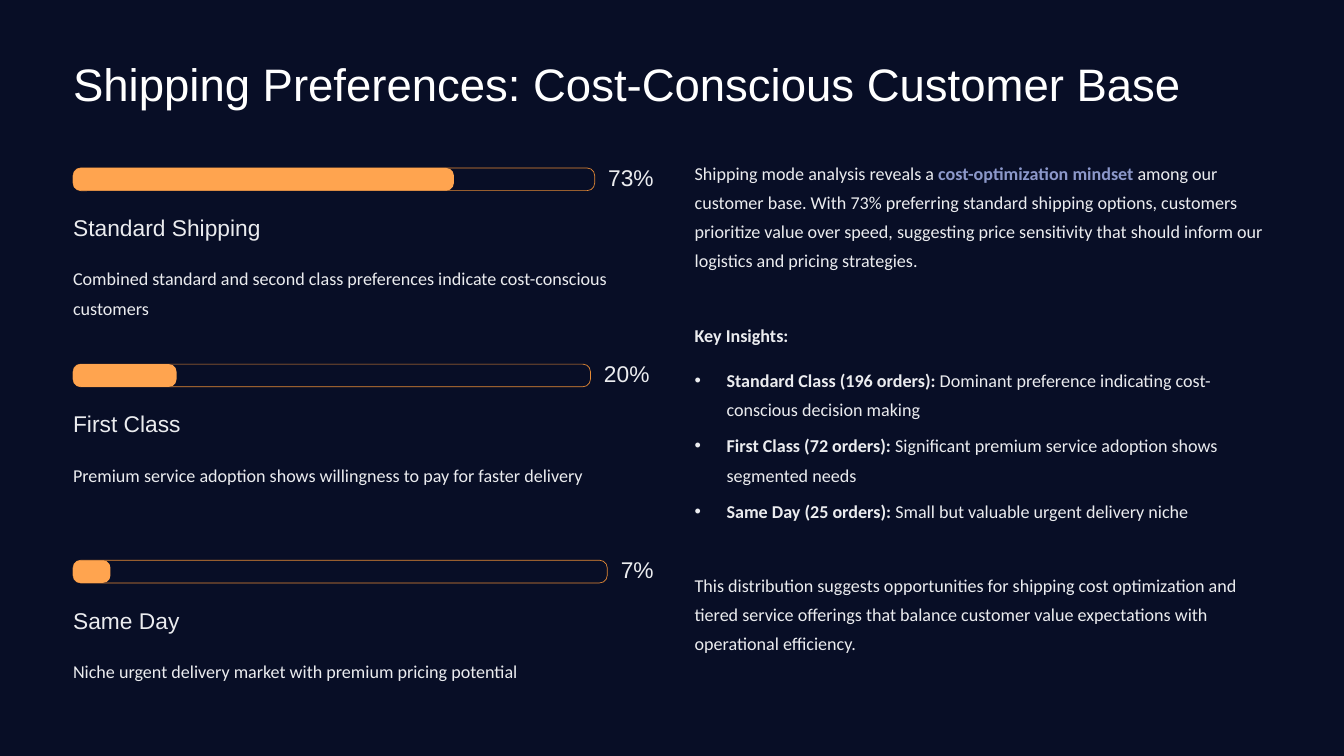
import pptx
import pptx.util
import pptx.dml.color
import pptx.enum.shapes
import pptx.enum.text
import pptx.oxml.ns
from lxml import etree

Inches = pptx.util.Inches
Pt = pptx.util.Pt

COLORS = {"night": "080E26", "white": "FFFFFF", "text": "EBECEF",
          "orange": "FFA44F", "outline": "E58A35", "accent": "8C98CA"}

# Each style: font values, line spacing in points, default colour
STYLES = {
    "title": ({"name": "Arial", "size": Pt(39)}, 48.5, "white"),
    "percent": ({"name": "Arial", "size": Pt(19.5)}, 19.5, "text"),
    "label": ({"name": "Arial", "size": Pt(19.5)}, 24, "text"),
    "body": ({"name": "Calibri", "size": Pt(15.5)}, 25, "text"),
}


def write(box, style, paragraphs, place):
    """Place a box and fill it; a paragraph is a list of (text, bold, colour)."""
    box.left, box.top, box.width, box.height = [Inches(value) for value in place]
    font_values, spacing, default_color = STYLES[style]
    frame = box.text_frame
    frame_values = {"margin_left": 0, "margin_top": 0, "margin_right": 0,
                    "margin_bottom": 0, "word_wrap": style in ("title", "body"),
                    "auto_size": pptx.enum.text.MSO_AUTO_SIZE.NONE,
                    "vertical_anchor": pptx.enum.text.MSO_ANCHOR.TOP}
    for name, value in frame_values.items():
        setattr(frame, name, value)
    for index, spans in enumerate(paragraphs):
        para = frame.add_paragraph() if index else frame.paragraphs[0]
        para_values = {"alignment": pptx.enum.text.PP_ALIGN.LEFT,
                       "line_spacing": Pt(spacing),
                       "space_before": Pt(6 if index else 0),
                       "space_after": Pt(0)}
        for name, value in para_values.items():
            setattr(para, name, value)
        for text, bold, color in spans:
            span = para.add_run()
            span.text = text
            for name, value in {**font_values, "bold": bold}.items():
                setattr(span.font, name, value)
            span.font.color.rgb = pptx.dml.color.RGBColor.from_string(
                COLORS[color or default_color])


def add_bar(left, top, width, fill, outline=None):
    bar = page.shapes.add_shape(
        pptx.enum.shapes.MSO_SHAPE.ROUNDED_RECTANGLE,
        Inches(left), Inches(top), Inches(width), Inches(0.27))
    bar.adjustments[0] = 0.336
    bar.shadow.inherit = False
    bar.fill.solid()
    bar.fill.fore_color.rgb = pptx.dml.color.RGBColor.from_string(COLORS[fill])
    if outline:
        bar.line.width = Pt(0.6)
        bar.line.color.rgb = pptx.dml.color.RGBColor.from_string(COLORS[outline])
    else:
        bar.line.fill.background()


deck = pptx.Presentation()
deck.slide_width, deck.slide_height = Inches(16), Inches(9)
page = deck.slides.add_slide(deck.slide_layouts[1])
page.background.fill.solid()
page.background.fill.fore_color.rgb = pptx.dml.color.RGBColor.from_string(COLORS["night"])

# Title
write(page.shapes.title, "title",
      [[("Shipping Preferences: Cost-Conscious Customer Base", False, None)]],
      (0.87, 0.64, 13.87, 0.68))

# Left column: one progress bar per shipping mode
LEFT, RIGHT_EDGE, FIRST_TOP, PITCH, GAP = 0.87, 7.74, 2, 2.335, 0.16
MODES = [
    (73, 0.5, "Standard Shipping", 0.69,
     "Combined standard and second class preferences indicate cost-conscious customers"),
    (20, 0.55, "First Class", 0.69,
     "Premium service adoption shows willingness to pay for faster delivery"),
    (7, 0.35, "Same Day", 0.35,
     "Niche urgent delivery market with premium pricing potential"),
]
for row, (percent, percent_width, label, note_height, note) in enumerate(MODES):
    top = FIRST_TOP + row * PITCH
    percent_left = RIGHT_EDGE - percent_width
    track = percent_left - GAP - LEFT
    add_bar(LEFT, top, track, "night", "outline")
    add_bar(LEFT, top, track * percent / 100, "orange")
    for style, text, place in [
        ("percent", f"{percent}%", (percent_left, top, percent_width, 0.27)),
        ("label", label, (LEFT, top + 0.54, 2.71, 0.34)),
        ("body", note, (LEFT, top + 1.1, RIGHT_EDGE - LEFT, note_height)),
    ]:
        write(page.shapes.add_textbox(0, 0, 0, 0), style, [[(text, False, None)]], place)

# Right column: analysis, heading and conclusion
PASSAGES = [
    (1.84, 1.74, [
        ("Shipping mode analysis reveals a ", False, None),
        ("cost-optimization mindset", True, "accent"),
        (" among our customer base. With 73% preferring standard shipping options, "
         "customers prioritize value over speed, suggesting price sensitivity that "
         "should inform our logistics and pricing strategies.", False, None)]),
    (3.77, 0.35, [("Key Insights:", True, None)]),
    (6.75, 1.04, [
        ("This distribution suggests opportunities for shipping cost optimization and "
         "tiered service offerings that balance customer value expectations with "
         "operational efficiency.", False, None)]),
]
for top, height, spans in PASSAGES:
    write(page.shapes.add_textbox(0, 0, 0, 0), "body", [spans], (8.27, top, 6.87, height))

# Right column: bulleted insights
INSIGHTS = [
    ("Standard Class (196 orders):",
     " Dominant preference indicating cost-conscious decision making"),
    ("First Class (72 orders):",
     " Significant premium service adoption shows segmented needs"),
    ("Same Day (25 orders):", " Small but valuable urgent delivery niche"),
]
insight_list = page.placeholders[1]
write(insight_list, "body",
      [[(lead, True, None), (rest, False, None)] for lead, rest in INSIGHTS],
      (8.27, 4.31, 6.87, 2.24))
for para in insight_list.text_frame.paragraphs:
    properties = para._p.get_or_add_pPr()
    properties.set("marL", str(Inches(0.38)))
    properties.set("indent", str(-Inches(0.38)))
    bullet = etree.SubElement(properties, pptx.oxml.ns.qn("a:buChar"))
    bullet.set("char", "•")

deck.save("out.pptx")
